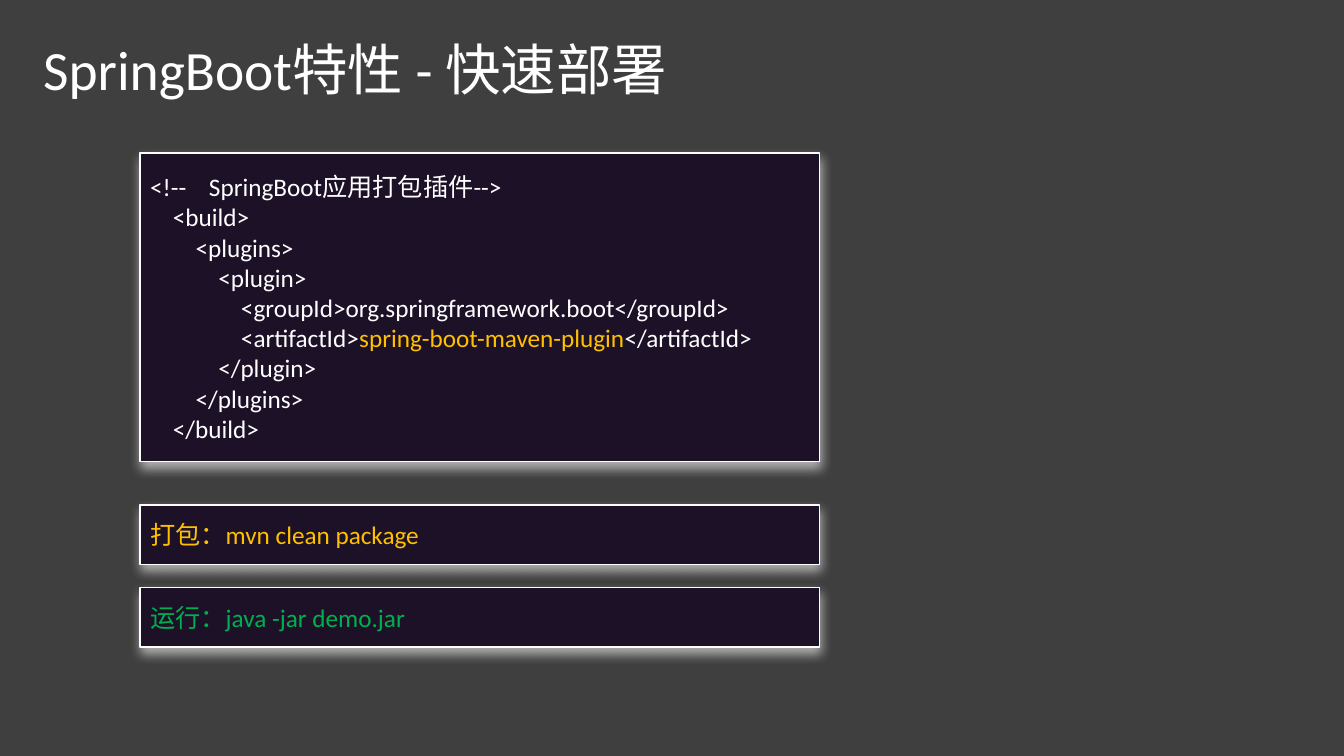
from lxml.etree import SubElement
from pptx import Presentation
from pptx.dml.color import RGBColor
from pptx.enum.shapes import MSO_SHAPE
from pptx.enum.text import MSO_ANCHOR, PP_ALIGN
from pptx.oxml.ns import qn
from pptx.util import Inches, Pt

COLORS = {
    "back": "3F3F3F",
    "panel": "1D1128",
    "text": "FFFFFF",
    "glow": "FFFFFF",
    "gold": "FFC000",
    "green": "00B050",
}
PLUGIN = "spring-boot-maven-plugin"
CODE = """<!--    SpringBoot应用打包插件-->
    <build>
        <plugins>
            <plugin>
                <groupId>org.springframework.boot</groupId>
                <artifactId>spring-boot-maven-plugin</artifactId>
            </plugin>
        </plugins>
    </build>"""
LEFT, WIDTH = 1.39, 6.74
CODE_TOP, CODE_HEIGHT = 1.52, 3.06
COMMAND_TOP, COMMAND_HEIGHT, COMMAND_STEP = 5.01, 0.59, 0.82
COMMANDS = [
    ("打包：mvn clean package", "gold"),
    ("运行：java -jar demo.jar", "green"),
]


def rgb(name):
    return RGBColor.from_string(COLORS[name])


def add_run(para, text, size, color):
    run = para.add_run()
    run.text = text
    run.font.size = Pt(size)
    run.font.name = "Calibri"
    run.font.color.rgb = rgb(color)


def add_glow(shape):
    """Give the shape a soft light shadow that falls downwards."""
    shape.shadow.inherit = False
    effects = shape._element.spPr.find(qn("a:effectLst"))
    outer = SubElement(effects, qn("a:outerShdw"), blurRad=str(Pt(8)),
                       dist=str(Pt(4)), dir="5400000", algn="ctr", rotWithShape="0")
    color = SubElement(outer, qn("a:srgbClr"), val=COLORS["glow"])
    SubElement(color, qn("a:alpha"), val="60000")


def add_panel(slide, box, lines):
    """Draw a framed panel; each line is a list of (text, color) pieces."""
    panel = slide.shapes.add_shape(MSO_SHAPE.RECTANGLE, *map(Inches, box))
    panel.fill.solid()
    panel.fill.fore_color.rgb = rgb("panel")
    panel.line.color.rgb = rgb("text")
    panel.line.width = Pt(1)
    add_glow(panel)
    frame = panel.text_frame
    frame.word_wrap = True
    frame.vertical_anchor = MSO_ANCHOR.MIDDLE
    for index, pieces in enumerate(lines):
        para = frame.add_paragraph() if index else frame.paragraphs[0]
        para.alignment = PP_ALIGN.LEFT
        for text, color in pieces:
            add_run(para, text, 18, color)


def add_title(slide, box, text):
    frame = slide.shapes.add_textbox(*map(Inches, box)).text_frame
    frame.word_wrap = True
    frame.vertical_anchor = MSO_ANCHOR.MIDDLE
    para = frame.paragraphs[0]
    para.line_spacing = 0.9
    add_run(para, text, 39.6, "text")


def split_line(line):
    """Cut a code line so that the plugin name stands out in gold."""
    before, name, after = line.partition(PLUGIN)
    pieces = [(before, "text"), (name, "gold"), (after, "text")]
    return [piece for piece in pieces if piece[0]]


def add_commands(slide, box):
    left, top, width, height = box
    for index, command in enumerate(COMMANDS):
        row = (left, top + index * COMMAND_STEP, width, height)
        add_panel(slide, row, [[command]])


def main():
    deck = Presentation()
    deck.slide_width, deck.slide_height = Inches(13.33), Inches(7.5)
    slide = deck.slides.add_slide(deck.slide_layouts[6])
    slide.background.fill.solid()
    slide.background.fill.fore_color.rgb = rgb("back")
    add_title(slide, (0.33, 0.35, 8, 0.73), "SpringBoot特性 - 快速部署")
    add_panel(slide, (LEFT, CODE_TOP, WIDTH, CODE_HEIGHT),
              [split_line(line) for line in CODE.splitlines()])
    add_commands(slide, (LEFT, COMMAND_TOP, WIDTH, COMMAND_HEIGHT))
    deck.save("out.pptx")


if __name__ == "__main__":
    main()
